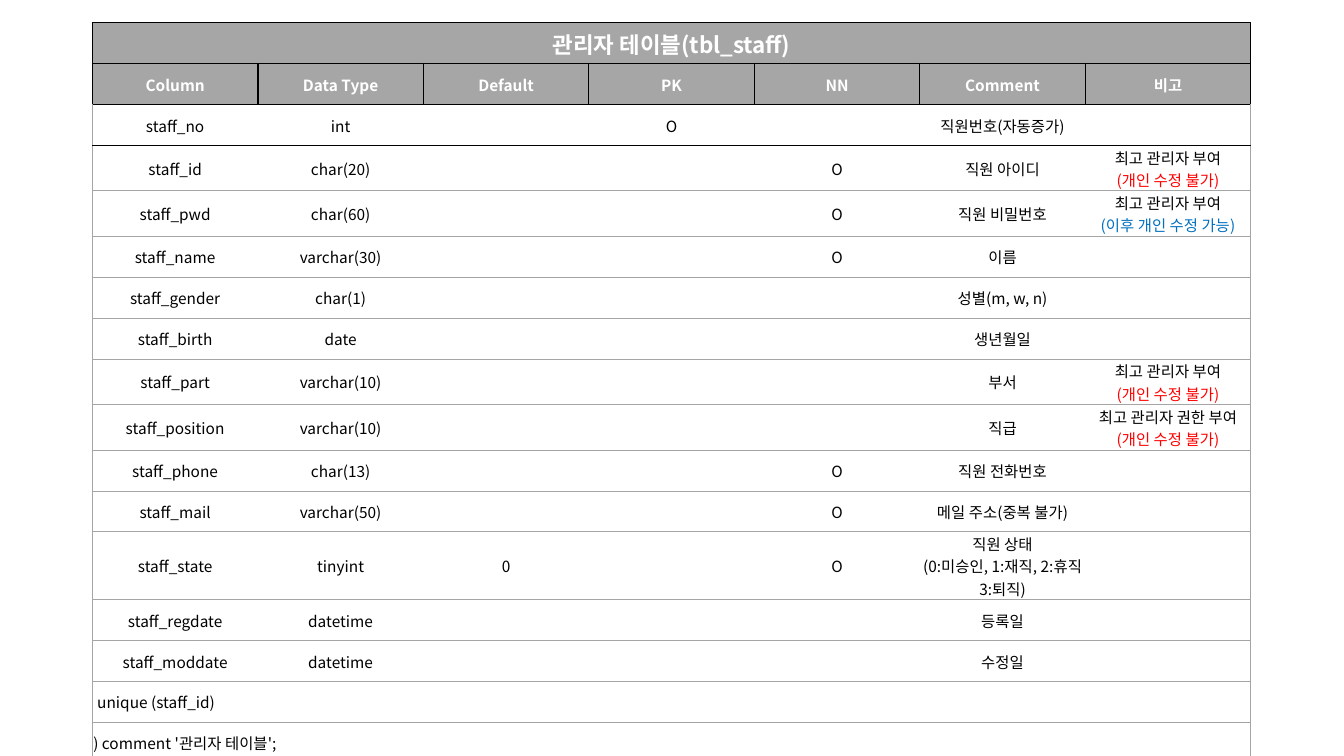
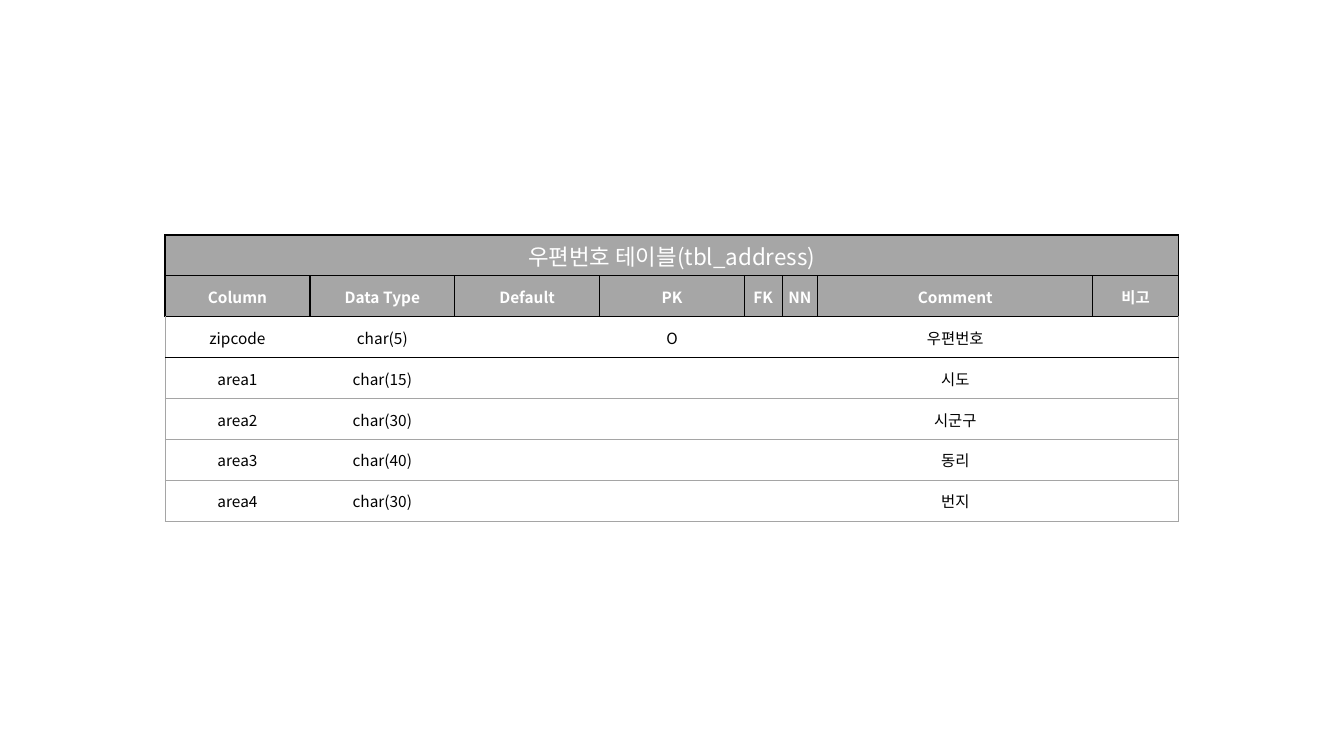
from lxml import etree
from pptx import Presentation
from pptx import util as u
from pptx.dml.color import RGBColor
from pptx.enum import text
from pptx.oxml.ns import qn
from pptx.util import Cm

FONT = "Noto Sans CJK KR"
BLACK = RGBColor(0x00, 0x00, 0x00)
WHITE = RGBColor(0xFF, 0xFF, 0xFF)
HEADER_GRAY = RGBColor(0xA6, 0xA6, 0xA6)
RULE_GRAY = RGBColor(0xA5, 0xA5, 0xA5)
RED = RGBColor(0xFF, 0x00, 0x00)
BLUE = RGBColor(0x00, 0x70, 0xC0)
PLAIN_STYLE = "{2D5ABB26-0587-4C30-8999-92F81FD0307C}"
ROW_HEIGHT = Cm(1.03)
CELL_MARGIN = Cm(0.02)
HEAVY = (BLACK, 1)
LIGHT = (RULE_GRAY, 0.5)

LOCKED = "(개인 수정 불가)"
EDITABLE = "(이후 개인 수정 가능)"
NOTE_COLORS = {LOCKED: RED, EDITABLE: BLUE}

TABLES = [
    dict(
        title="관리자 테이블(tbl_staff)", title_bold=True,
        left=Cm(2.33), top=Cm(0.57), widths=[4.17] * 7,
        header=["Column", "Data Type", "Default", "PK", "NN", "Comment", "비고"],
        fields=[
            ("staff_no", "int", "", "O", "", "직원번호(자동증가)", ""),
            ("staff_id", "char(20)", "", "", "O", "직원 아이디", "최고 관리자 부여\n" + LOCKED),
            ("staff_pwd", "char(60)", "", "", "O", "직원 비밀번호", "최고 관리자 부여\n" + EDITABLE),
            ("staff_name", "varchar(30)", "", "", "O", "이름", ""),
            ("staff_gender", "char(1)", "", "", "", "성별(m, w, n)", ""),
            ("staff_birth", "date", "", "", "", "생년월일", ""),
            ("staff_part", "varchar(10)", "", "", "", "부서", "최고 관리자 부여\n" + LOCKED),
            ("staff_position", "varchar(10)", "", "", "", "직급", "최고 관리자 권한 부여\n" + LOCKED),
            ("staff_phone", "char(13)", "", "", "O", "직원 전화번호", ""),
            ("staff_mail", "varchar(50)", "", "", "O", "메일 주소(중복 불가)", ""),
            ("staff_state", "tinyint", "0", "", "O",
             "직원 상태\n(0:미승인, 1:재직, 2:휴직 3:퇴직)", ""),
            ("staff_regdate", "datetime", "", "", "", "등록일", ""),
            ("staff_moddate", "datetime", "", "", "", "수정일", ""),
        ],
        closing=[("unique (staff_id)", Cm(0.12)), (") comment '관리자 테이블';", CELL_MARGIN)],
    ),
    dict(
        title="우편번호 테이블(tbl_address)", title_bold=False,
        left=Cm(4.16), top=Cm(5.92),
        widths=[3.65] * 4 + [0.95, 0.9, 6.93, 2.16],
        header=["Column", "Data Type", "Default", "PK", "FK", "NN", "Comment", "비고"],
        fields=[
            ("zipcode", "char(5)", "", "O", "", "", "우편번호", ""),
            ("area1", "char(15)", "", "", "", "", "시도", ""),
            ("area2", "char(30)", "", "", "", "", "시군구", ""),
            ("area3", "char(40)", "", "", "", "", "동리", ""),
            ("area4", "char(30)", "", "", "", "", "번지", ""),
        ],
        closing=[],
    ),
]


def write_cell(cell, content, size=11, color=BLACK, bold=False, fill=None,
               align=text.PP_ALIGN.CENTER, indent=CELL_MARGIN):
    """Fill and format a cell; each newline becomes a line break."""
    cell.margin_left = indent
    cell.margin_right = cell.margin_top = CELL_MARGIN
    cell.margin_bottom = 0
    cell.vertical_anchor = text.MSO_ANCHOR.MIDDLE
    if fill is None:
        cell.fill.background()
    else:
        cell.fill.solid()
        cell.fill.fore_color.rgb = fill
    paragraph = cell.text_frame.paragraphs[0]
    paragraph.alignment = align
    for number, line in enumerate(content.split("\n") if content else []):
        if number:
            paragraph.add_line_break()
        run = paragraph.add_run()
        run.text = line
        run.font.size = u.Pt(size)
        run.font.bold = bold
        run.font.color.rgb = NOTE_COLORS.get(line, color)
        run.font.name = FONT
        etree.SubElement(run.font._element, qn("a:ea"), typeface=FONT)


def rule_cell(cell, **sides):
    """Draw cell borders, given as L, R, T, B = (colour, points)."""
    properties = cell._tc.get_or_add_tcPr()
    for position, side in enumerate(s for s in "LRTB" if s in sides):
        color, points = sides[side]
        line = etree.Element(qn("a:ln" + side), w=str(u.Pt(points)))
        solid = etree.SubElement(line, qn("a:solidFill"))
        etree.SubElement(solid, qn("a:srgbClr"), val=str(color))
        properties.insert(position, line)


prs = Presentation()
prs.slide_width, prs.slide_height = Cm(33.87), Cm(19.05)

for entity in TABLES:
    slide = prs.slides.add_slide(prs.slide_layouts[6])
    fields, closing, widths = entity["fields"], entity["closing"], entity["widths"]
    row_count = 2 + len(fields) + len(closing)
    table = slide.shapes.add_table(
        row_count, len(widths), entity["left"], entity["top"],
        Cm(sum(widths)), ROW_HEIGHT * row_count).table
    table.first_row = table.horz_banding = False
    table._tbl.tblPr.find(qn("a:tableStyleId")).text = PLAIN_STYLE
    for column, width in zip(table.columns, widths):
        column.width = Cm(width)
    for row in table.rows:
        row.height = ROW_HEIGHT

    last_column = len(widths) - 1
    first_closing = 2 + len(fields)
    for row in [0, *range(first_closing, row_count)]:
        table.cell(row, 0).merge(table.cell(row, last_column))

    write_cell(table.cell(0, 0), entity["title"], size=16, color=WHITE,
               bold=entity["title_bold"], fill=HEADER_GRAY)
    for column, label in enumerate(entity["header"]):
        write_cell(table.cell(1, column), label, color=WHITE, bold=True, fill=HEADER_GRAY)
    for row, field in enumerate(fields, 2):
        for column, value in enumerate(field):
            write_cell(table.cell(row, column), value)
    for row, (clause, indent) in enumerate(closing, first_closing):
        write_cell(table.cell(row, 0), clause, align=text.PP_ALIGN.LEFT, indent=indent)

    for row in range(row_count):
        side_rule = HEAVY if row < 2 else LIGHT
        boxed = row < 2 or row >= first_closing
        for column in range(len(widths)):
            # The key field, in the row below the header, sits between heavy rules.
            sides = dict(T=HEAVY if row <= 3 else LIGHT, B=HEAVY if row <= 2 else LIGHT)
            if boxed or column == 0:
                sides["L"] = side_rule
            if boxed or column == last_column:
                sides["R"] = side_rule
            rule_cell(table.cell(row, column), **sides)

prs.save("out.pptx")
